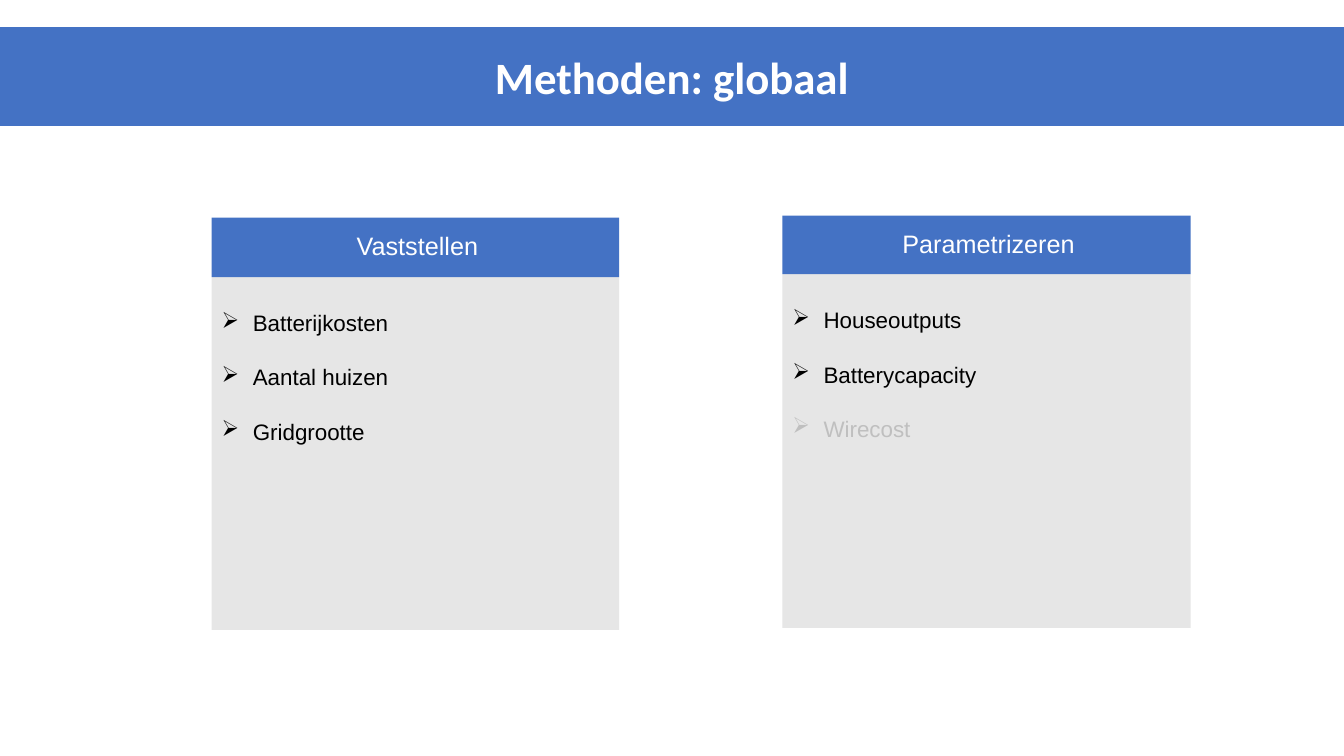
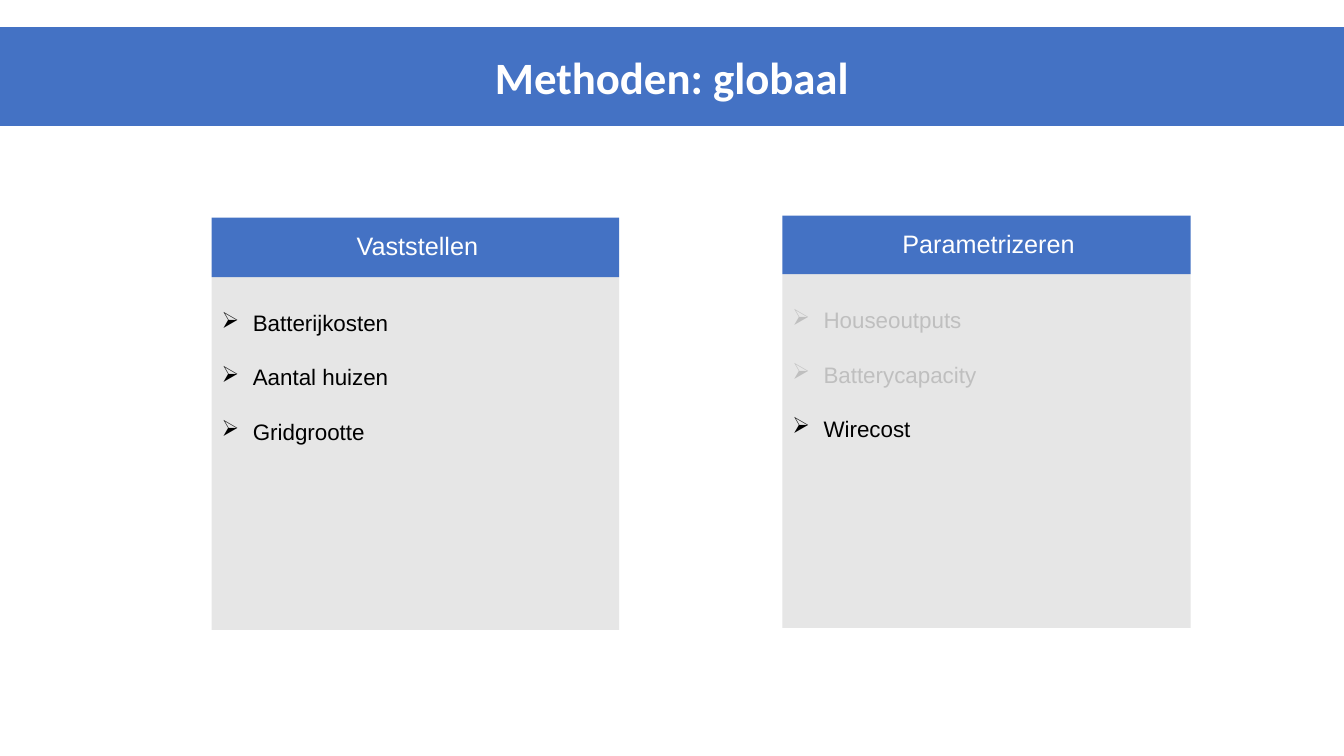
from dataclasses import dataclass

from lxml import etree
from pptx import Presentation
from pptx.dml.color import RGBColor
from pptx.enum.shapes import MSO_SHAPE
from pptx.enum.text import MSO_ANCHOR, MSO_AUTO_SIZE, PP_ALIGN
from pptx.oxml.ns import qn
from pptx.util import Inches, Pt

RECT = MSO_SHAPE.RECTANGLE
MIDDLE, TOP = MSO_ANCHOR.MIDDLE, MSO_ANCHOR.TOP
CENTER, LEFT = PP_ALIGN.CENTER, PP_ALIGN.LEFT
FIXED = MSO_AUTO_SIZE.NONE


@dataclass(frozen=True)
class Theme:
    blue: RGBColor = RGBColor(0x44, 0x72, 0xC4)
    gray: RGBColor = RGBColor(0xE6, 0xE6, 0xE6)
    faded: RGBColor = RGBColor(0xBF, 0xBF, 0xBF)
    black: RGBColor = RGBColor(0, 0, 0)
    white: RGBColor = RGBColor(255, 255, 255)
    title_font: str = "Calibri"
    font: str = "Arial"
    title_size: int = 32
    head_size: int = 18
    item_size: int = 16
    item_gap: float = 19.5


@dataclass(frozen=True)
class Panel:
    head: str
    items: tuple[str, ...]
    left: float
    top: float
    width: float
    split: float
    height: float


THEME = Theme()
WIDTH, HEIGHT = 13.33, 7.5
INDENT = 0.31
TITLE = "Methoden: globaal"
PANELS = (
    Panel("Vaststellen", ("Batterijkosten", "Aantal huizen", "Gridgrootte"),
          2.1, 2.16, 4.04, 0.59, 4.09),
    Panel("Parametrizeren", ("Houseoutputs", "Batterycapacity", "Wirecost"),
          7.76, 2.14, 4.05, 0.58, 4.09),
)
FADED = ({"Wirecost"}, {"Houseoutputs", "Batterycapacity"})


def style(para, font: str, size: int, color: RGBColor, bold: bool = False) -> None:
    for run in para.runs:
        run.font.name = font
        run.font.size = Pt(size)
        run.font.color.rgb = color
        run.font.bold = bold


def add_box(group, left: float, top: float, width: float, height: float,
            fill: RGBColor):
    box = group.shapes.add_shape(
        RECT, Inches(left), Inches(top), Inches(width), Inches(height))
    box.shadow.inherit = False
    box.fill.solid()
    box.fill.fore_color.rgb = fill
    box.line.fill.background()
    box.text_frame.word_wrap = True
    return box


def add_bullet(para) -> None:
    props = para._p.get_or_add_pPr()
    props.set("marL", str(Inches(INDENT)))
    props.set("indent", str(-Inches(INDENT)))
    etree.SubElement(props, qn("a:buChar")).set("char", "➢")


def add_title(slide) -> None:
    title = slide.shapes.title
    title.left, title.top = Inches(0), Inches(0.27)
    title.width, title.height = Inches(WIDTH), Inches(0.98)
    title.fill.solid()
    title.fill.fore_color.rgb = THEME.blue
    frame = title.text_frame
    frame.text = TITLE
    frame.auto_size = FIXED
    frame.vertical_anchor = MIDDLE
    para = frame.paragraphs[0]
    para.alignment = CENTER
    style(para, THEME.title_font, THEME.title_size, THEME.white, True)


def add_panel(slide, panel: Panel, faded: set[str]) -> None:
    group = slide.shapes.add_group_shape()
    body = add_box(group, panel.left, panel.top + panel.split, panel.width,
                   panel.height - panel.split, THEME.gray)
    frame = body.text_frame
    frame.vertical_anchor = TOP
    frame.margin_top = Inches(0.32)
    frame.text = "\n".join(panel.items)
    for para in frame.paragraphs:
        para.alignment = LEFT
        para.space_after = Pt(THEME.item_gap)
        add_bullet(para)
        color = THEME.faded if para.text in faded else THEME.black
        style(para, THEME.font, THEME.item_size, color)

    head = add_box(group, panel.left, panel.top, panel.width, panel.split,
                   THEME.blue)
    frame = head.text_frame
    frame.vertical_anchor = MIDDLE
    frame.margin_left, frame.margin_right = Inches(0.45), Inches(0.41)
    frame.margin_top = frame.margin_bottom = Inches(0.02)
    frame.text = panel.head
    para = frame.paragraphs[0]
    para.alignment = CENTER
    para.line_spacing = 0.9
    style(para, THEME.font, THEME.head_size, THEME.white)


def main() -> None:
    deck = Presentation()
    deck.slide_width, deck.slide_height = Inches(WIDTH), Inches(HEIGHT)
    for faded in FADED:
        slide = deck.slides.add_slide(deck.slide_layouts[5])
        add_title(slide)
        for panel in PANELS:
            add_panel(slide, panel, faded)
    deck.save("out.pptx")


if __name__ == "__main__":
    main()
